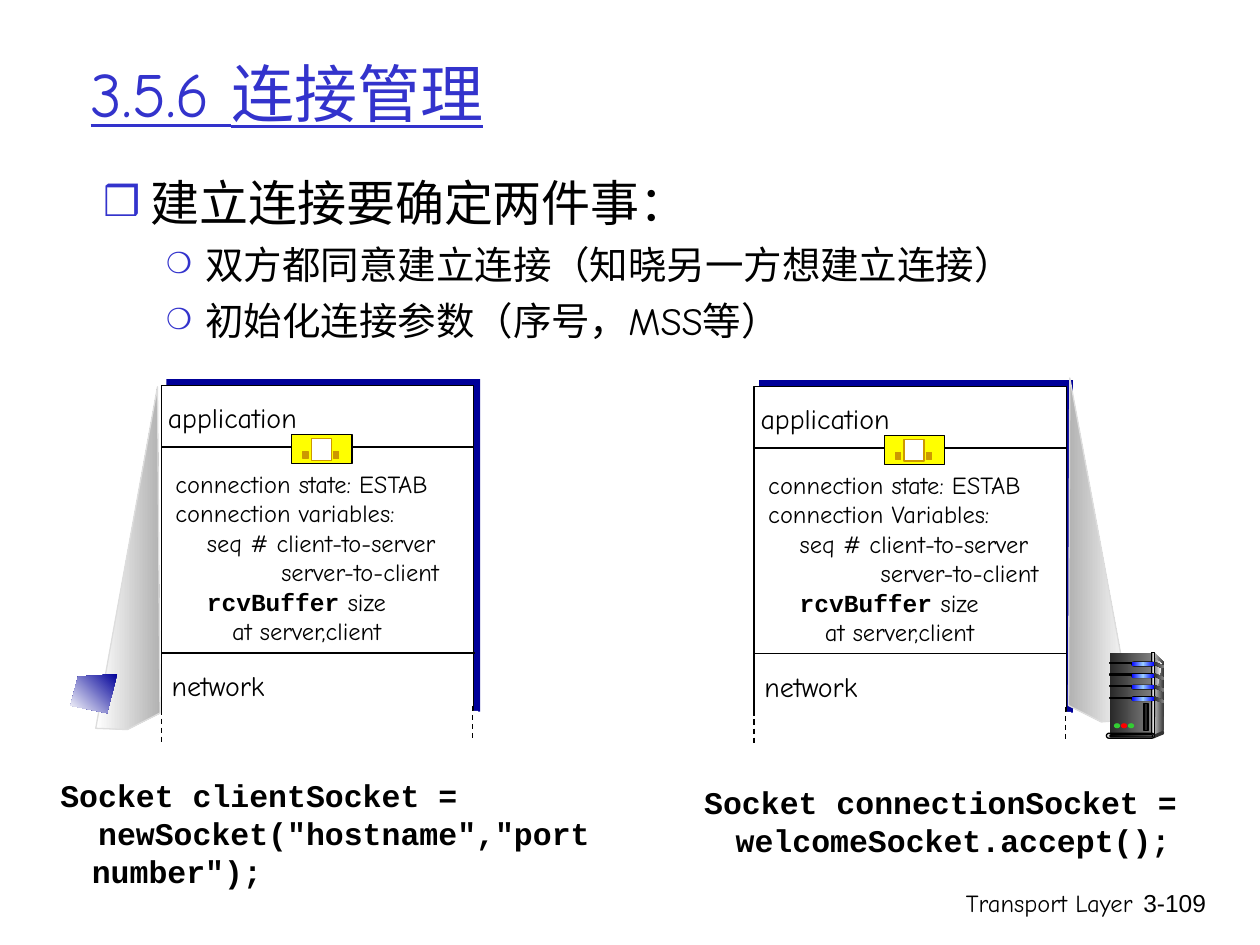
from dataclasses import dataclass
from typing import Optional, Sequence

from lxml import etree
from pptx import Presentation
from pptx import util as u
from pptx.dml.color import RGBColor
from pptx.enum import dml, shapes, text
from pptx.oxml import ns

Pt = u.Pt
Points = Sequence[tuple[float, float]]

BLACK = RGBColor(0x00, 0x00, 0x00)
WHITE = RGBColor(0xFF, 0xFF, 0xFF)
INDIGO = RGBColor(0x33, 0x33, 0xCC)
NAVY = RGBColor(0x00, 0x00, 0x99)
YELLOW = RGBColor(0xFF, 0xFF, 0x00)
OCHRE = RGBColor(0xCC, 0x99, 0x00)
SILVER = RGBColor(0xB2, 0xB2, 0xB2)
PALE = RGBColor(0xDD, 0xDD, 0xDD)
GREY = RGBColor(0x80, 0x80, 0x80)
DARK = RGBColor(0x33, 0x33, 0x33)
COAL = RGBColor(0x29, 0x29, 0x29)
BLUE = RGBColor(0x00, 0x00, 0xFF)
SKY = RGBColor(0x99, 0xCC, 0xFF)
GREEN = RGBColor(0x33, 0xCC, 0x33)
RED = RGBColor(0xFF, 0x00, 0x00)

HAND, MONO, SANS = "Comic Neue", "Courier New", "Arial"
RECT = shapes.MSO_SHAPE.RECTANGLE
OVAL = shapes.MSO_SHAPE.OVAL
ROUND = shapes.MSO_SHAPE.ROUNDED_RECTANGLE
LEFT, CENTER, RIGHT = (text.PP_ALIGN.LEFT, text.PP_ALIGN.CENTER, text.PP_ALIGN.RIGHT)


@dataclass
class Para:
    text: str
    margin: float = 0
    indent: float = 0
    mono: str = ""  # bold monospaced lead-in


@dataclass
class Host:
    x: float
    y: float
    variables: str
    reverse_margin: float
    cone: Points
    cone_colors: tuple[RGBColor, RGBColor]


def paint(sp, colors: Sequence[RGBColor], line: Optional[RGBColor] = None, angle: float = 0):
    """One colour gives a solid fill, several an even gradient."""
    sp.shadow.inherit = False
    if len(colors) == 1:
        sp.fill.solid()
        sp.fill.fore_color.rgb = colors[0]
    else:
        sp.fill.gradient()
        sp.fill.gradient_angle = angle
        stops = sp._element.spPr.find(".//" + ns.qn("a:gsLst"))
        for old in list(stops):
            stops.remove(old)
        for i, color in enumerate(colors):
            pos = str(100000 * i // (len(colors) - 1))
            gs = etree.SubElement(stops, ns.qn("a:gs"), pos=pos)
            etree.SubElement(gs, ns.qn("a:srgbClr"), val=str(color))
    if line is None:
        sp.line.fill.background()
    else:
        sp.line.color.rgb = line
        sp.line.width = Pt(0.75)


def add_box(parent, kind, x: float, y: float, w: float, h: float, *colors: RGBColor,
            line: Optional[RGBColor] = None):
    sp = parent.add_shape(kind, Pt(x), Pt(y), Pt(w), Pt(h))
    if kind == ROUND:
        sp.adjustments[0] = 0.5
    paint(sp, colors, line)


def add_outline(parent, points: Points, *colors: RGBColor,
                line: Optional[RGBColor] = None, angle: float = 0):
    start, *rest = [(Pt(x), Pt(y)) for x, y in points]
    builder = parent.build_freeform(*start)
    builder.add_line_segments(rest, close=True)
    paint(builder.convert_to_shape(), colors, line, angle)


def add_line(parent, x1: float, y1: float, x2: float, y2: float, dashed: bool = False):
    c = parent.add_connector(shapes.MSO_CONNECTOR.STRAIGHT, Pt(x1), Pt(y1), Pt(x2), Pt(y2))
    c.line.color.rgb = BLACK
    c.line.width = Pt(0.75)
    if dashed:
        c.line.dash_style = dml.MSO_LINE.DASH
    etree.SubElement(c._element.spPr, ns.qn("a:effectLst"))


def set_font(font, name: str, size: float, color: RGBColor = BLACK, bold: bool = False):
    font.name, font.size, font.bold = name, Pt(size), bold
    font.color.rgb = color


def set_indent(p, margin: float, indent: float):
    pPr = p._p.get_or_add_pPr()
    pPr.set("marL", str(Pt(margin)))
    pPr.set("indent", str(Pt(indent)))
    return pPr


def add_text(parent, x: float, y: float, w: float, h: float, paras: Sequence[Para],
             size: float, font: str = HAND, align=LEFT, wrap: bool = True, bold: bool = False):
    tf = parent.add_textbox(Pt(x), Pt(y), Pt(w), Pt(h)).text_frame
    tf.word_wrap = wrap
    if not wrap:
        tf.auto_size = text.MSO_AUTO_SIZE.SHAPE_TO_FIT_TEXT
    for i, para in enumerate(paras):
        p = tf.paragraphs[0] if i == 0 else tf.add_paragraph()
        p.alignment = align
        set_indent(p, para.margin, para.indent)
        set_font(p.font, font, size, bold=bold)
        if para.mono:
            r = p.add_run()
            r.text = para.mono
            set_font(r.font, MONO, size, bold=True)
        r = p.add_run()
        r.text = para.text
        set_font(r.font, font, size, bold=bold)


def add_host(parent, host: Host):
    x, y = host.x, host.y
    right = x + 178.56
    # Stack with its shadow
    add_box(parent, RECT, x + 2.9, y - 3.8, 179.3, 190, NAVY)
    add_box(parent, RECT, x, y, 178.56, 194.4, WHITE, line=BLACK)
    add_line(parent, x, y + 35, right, y + 35)
    add_text(parent, x + 1, y + 44, 183.6, 125, [
        Para("connection state: ESTAB"),
        Para(host.variables),
        Para("seq # client-to-server", 18),
        Para("server-to-client", host.reverse_margin),
        Para(" size", 18, mono="rcvBuffer"),
        Para("at server,client", 32.4),
    ], 14)
    # Socket
    socket = parent.add_group_shape().shapes
    add_box(socket, RECT, x + 74.5, y + 28, 34.5, 16.5, YELLOW, line=BLACK)
    add_box(socket, RECT, x + 85.7, y + 30.2, 11.5, 12.3, WHITE, line=OCHRE)
    for dx in (98.6, 81):
        add_box(socket, RECT, x + dx, y + 37.4, 2.9, 4.3, OCHRE, line=OCHRE)
    add_text(parent, x - 7.3, y + 5, 95.8, 26.6, [Para("application")], 16, align=CENTER, wrap=False)
    add_line(parent, x + 0.5, y + 152.6, right + 0.5, y + 152.6)
    add_text(parent, x - 5.4, y + 158.1, 75.7, 26.6, [Para("network")], 16, align=CENTER, wrap=False)
    # Open lower end
    add_box(parent, RECT, x - 2.5, y + 185.8, 183.6, 14.4, WHITE)
    add_line(parent, x, y + 185, x, y + 203.7, dashed=True)
    add_line(parent, right - 0.5, y + 182.9, right - 0.5, y + 201.6, dashed=True)
    add_outline(parent, host.cone, *host.cone_colors, line=PALE)


def add_server(parent):
    g = parent.add_group_shape().shapes
    # Case
    add_outline(g, [(659.5, 373), (665.3, 378.7), (664.6, 418.3), (658.1, 419.8)], PALE, DARK)
    add_box(g, RECT, 634.3, 373, 24.5, 46.8, COAL, GREY)
    add_outline(g, [(659.5, 375.8), (663.8, 379.4), (660.8, 396), (659.5, 419)],
                GREY, RGBColor(0xF8, 0xF8, 0xF8))
    add_box(g, RECT, 658.1, 373, 1.6, 46.8, DARK, PALE, DARK, line=BLACK)
    # Drive bays and side vents
    for i in range(4):
        y = 378 + 6.6 * i
        add_box(g, RECT, 634.3, y + 0.6, 13.7, 0.7, BLACK, line=BLACK)
        add_box(g, ROUND, 646.4, y, 13.5, 2.9, BLACK)
        add_box(g, ROUND, 646.6, y + 0.4, 13, 2.2, BLUE, SKY, BLUE)
        add_outline(g, [(659.3, y), (665, y + 2.4), (664.6, y + 4), (659.3, y + 1.9)], COAL, GREY)
    # Base
    add_box(g, OVAL, 663.8, 417.6, 1.4, 2.2, DARK)
    add_outline(g, [(659.5, 419.8), (659.5, 421.9), (664.6, 419.8), (664.6, 417.6)], DARK)
    add_box(g, ROUND, 632.2, 419, 27.4, 2.9, PALE, line=BLACK)
    add_box(g, ROUND, 634.3, 419.8, 24.5, 1.4, BLACK, GREY, line=BLACK)
    # Lamps and handle
    for i, color in enumerate((GREEN, RED, GREEN)):
        add_box(g, OVAL, 636.5 + 4 * i, 413.3, 3.6, 2.9, color)
    add_box(g, RECT, 653.8, 401.8, 2.2, 15.8, COAL, line=BLACK)


def place(sp, x: float, y: float, w: float, h: float):
    sp.left, sp.top, sp.width, sp.height = Pt(x), Pt(y), Pt(w), Pt(h)


def add_bullet(p, content: str, size: float, margin: float, indent: float,
               before: float, char: str, percent: int):
    p.text = content
    p.alignment = LEFT
    p.space_before = Pt(before)
    set_font(p.font, HAND, size)
    set_font(p.runs[0].font, HAND, size)
    pPr = set_indent(p, margin, indent)
    marks = [etree.Element(ns.qn("a:buClr")),
             etree.Element(ns.qn("a:buSzPct"), val=str(percent * 1000)),
             etree.Element(ns.qn("a:buChar"), char=char)]
    etree.SubElement(marks[0], ns.qn("a:srgbClr"), val=str(INDIGO))
    at = pPr.index(pPr.find(ns.qn("a:defRPr")))
    pPr[at:at] = marks


def main():
    prs = Presentation()
    prs.slide_width, prs.slide_height = Pt(720), Pt(540)
    s = prs.slides.add_slide(prs.slide_layouts[1])

    # Title and list
    title, body = s.placeholders
    place(title, 44.6, 16.6, 612, 72)
    p = title.text_frame.paragraphs[0]
    p.text, p.alignment = "3.5.6 连接管理", LEFT
    for font in (p.font, p.runs[0].font):
        set_font(font, HAND, 36, INDIGO)
        font.underline = True
    place(body, 51.8, 95, 656.6, 162)
    tf = body.text_frame
    tf.auto_size = text.MSO_AUTO_SIZE.NONE
    add_bullet(tf.paragraphs[0], "建立连接要确定两件事：", 28, 27, -27, 7, "❒", 85)
    for item in ("双方都同意建立连接（知晓另一方想建立连接）", "初始化连接参数（序号，MSS等）"):
        p = tf.add_paragraph()
        p.level = 1
        add_bullet(p, item, 22, 58.5, -22.5, 5.5, "❍", 75)

    # Footer
    add_text(s.shapes, 426.2, 504, 228.2, 36, [Para("Transport Layer")], 14, align=RIGHT)
    add_text(s.shapes, 643, 504, 53.3, 36, [Para("3-109")], 14, SANS, RIGHT)

    # Client and server stacks
    add_host(s.shapes, Host(92.16, 220.5, "connection variables:", 60.5, [
        (54.7, 416.2), (90, 221), (91.4, 407.5), (72.7, 416.9)], (WHITE, SILVER)))
    add_host(s.shapes, Host(430.9, 221, "connection Variables:", 64.3, [
        (647.3, 411.1), (611.3, 216), (610.6, 403.2), (629.3, 412.6)], (SILVER, WHITE)))

    # Socket calls
    add_text(s.shapes, 27.4, 440, 331.2, 72, [
        Para("Socket clientSocket =", 18, -18),
        Para('newSocket("hostname","port number");', 18, 3.6),
    ], 18, MONO, bold=True)
    add_text(s.shapes, 395.3, 444.2, 311, 50.4, [
        Para("Socket connectionSocket = welcomeSocket.accept();", 18, -18),
    ], 18, MONO, bold=True)

    # Client screen and server tower
    add_outline(s.shapes, [(67, 385.2), (44.6, 386.6), (40.3, 403.2), (61.2, 407.5)],
                NAVY, WHITE, angle=225)
    add_server(s.shapes)
    prs.save("out.pptx")


if __name__ == "__main__":
    main()
